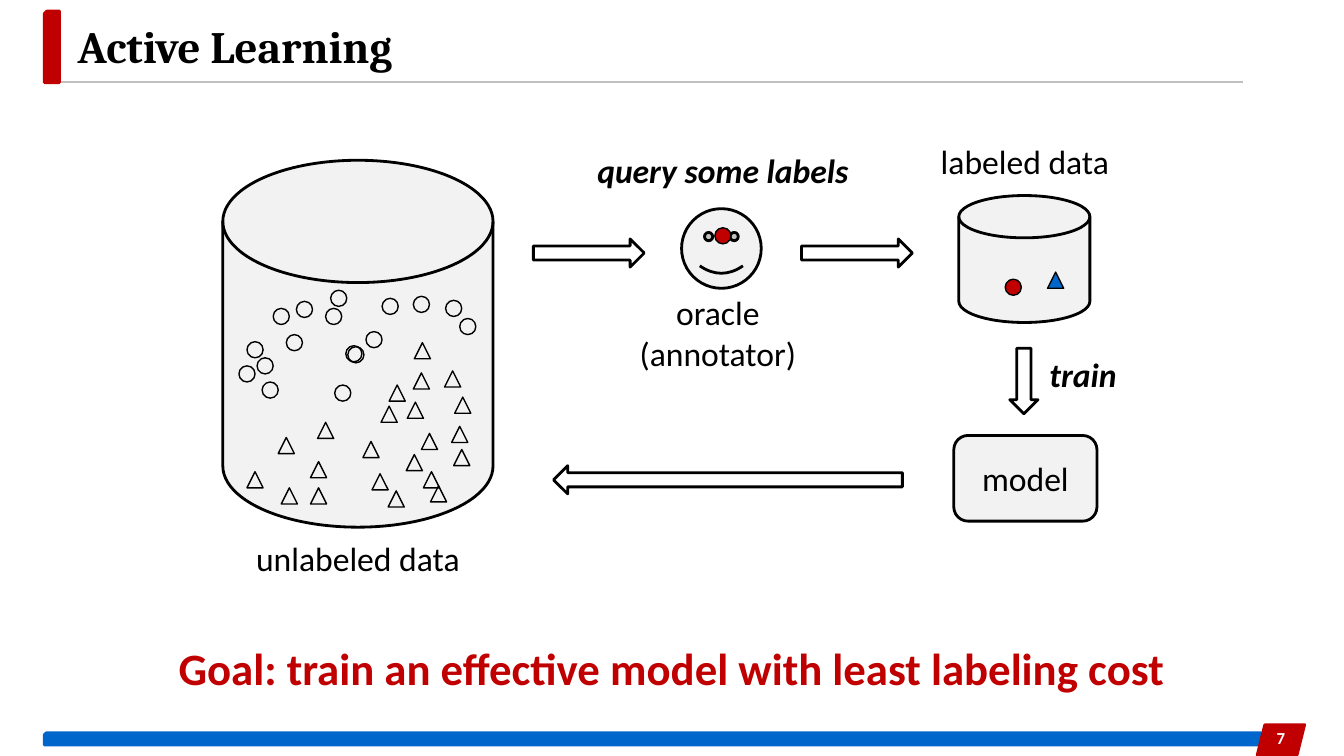
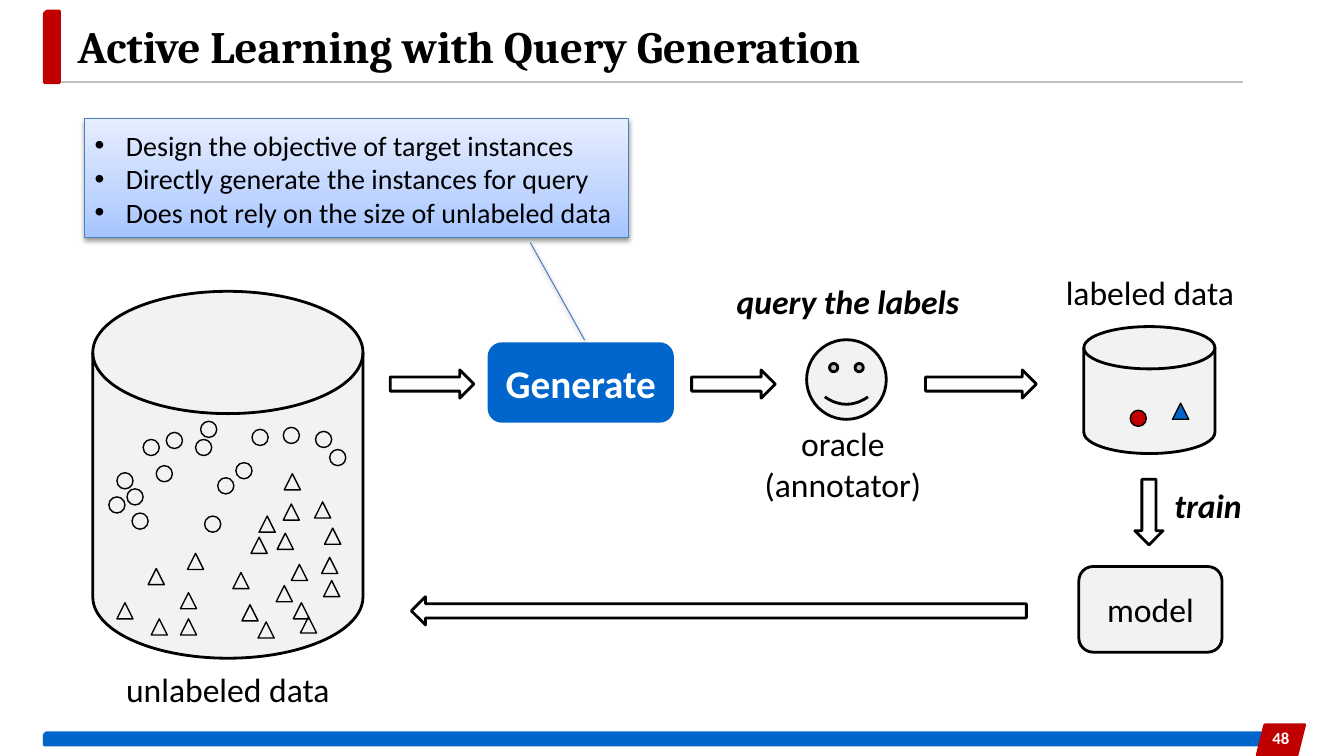
from copy import deepcopy
from dataclasses import dataclass

from lxml.etree import SubElement
from pptx import Presentation
from pptx.dml.color import RGBColor
from pptx.enum.shapes import MSO_CONNECTOR, MSO_SHAPE
from pptx.enum.text import MSO_ANCHOR, MSO_AUTO_SIZE, PP_ALIGN
from pptx.oxml.ns import qn
from pptx.util import Emu, Pt

PX = 9144  # 100 px to the inch


@dataclass(frozen=True)
class TextStyle:
    size: int
    color: str = "000000"
    bold: bool = False
    italic: bool = False
    name: str = "Calibri"


class Theme:
    black, white, gray, pale = "000000", "FFFFFF", "BFBFBF", "F2F2F2"
    red, blue, callout_line = "C00000", "0066CC", "4B7EBC"
    callout_stops = ((0, "A4C4FF"), (0.35, "BFD4FF"), (1, "E6EEFF"))
    thick, thin, hairline, rule = 2, 1, 0.75, 1.5
    title = TextStyle(32, bold=True, name="Cambria")
    goal = TextStyle(32, red, bold=True)
    label = TextStyle(24)
    emphasis = TextStyle(24, bold=True, italic=True)
    button = TextStyle(28, white, bold=True)
    note = TextStyle(20)
    page_number = TextStyle(12, white, bold=True)


MARKER = 16
UNLABELED_CIRCLES = (
    (50, 147), (73, 140), (107, 129), (24, 180), (189, 135), (111, 223),
    (102, 147), (63, 173), (124, 185), (158, 137), (221, 139), (235, 157),
    (142, 170), (34, 196), (39, 220), (16, 204),
)
UNLABELED_TRIANGLES = (
    (139, 279), (55, 275), (94, 260), (58, 325), (148, 311), (206, 323),
    (197, 271), (164, 328), (24, 309), (227, 264), (87, 325), (87, 299),
    (182, 292), (229, 287), (199, 309), (165, 223), (157, 244), (183, 240),
    (230, 235), (220, 209), (189, 211), (190, 181),
)


def emu(*lengths):
    return [Emu(length * PX) for length in lengths]


def set_values(target, values):
    for name, value in values.items():
        setattr(target, name, value)


def rgb(color):
    return RGBColor.from_string(color)


def write_text(shape, lines, style, alignment=PP_ALIGN.CENTER,
               anchor=MSO_ANCHOR.MIDDLE, bulleted=False):
    frame = shape.text_frame
    set_values(frame, {"word_wrap": True, "auto_size": MSO_AUTO_SIZE.NONE,
                       "vertical_anchor": anchor})
    for index, line in enumerate(lines):
        paragraph = frame.add_paragraph() if index else frame.paragraphs[0]
        paragraph.alignment = alignment
        if bulleted:
            add_bullet(paragraph)
        run = paragraph.add_run()
        run.text = line
        set_values(run.font, {"name": style.name, "size": Pt(style.size),
                              "bold": style.bold, "italic": style.italic})
        run.font.color.rgb = rgb(style.color)


def add_bullet(paragraph, indent=31):
    properties = paragraph._p.get_or_add_pPr()
    properties.set("marL", str(indent * PX))
    properties.set("indent", str(-indent * PX))
    SubElement(properties, qn("a:buFont")).set("typeface", "Arial")
    SubElement(properties, qn("a:buChar")).set("char", "•")


def add_text(slide, box, lines, style, **options):
    text_box = slide.shapes.add_textbox(*emu(*box))
    write_text(text_box, lines, style, **options)


def add_shape(slide, kind, box, fill=None, line=Theme.black, width=Theme.thick):
    shape = slide.shapes.add_shape(kind, *emu(*box))
    shape.shadow.inherit = False
    if fill:
        shape.fill.solid()
        shape.fill.fore_color.rgb = rgb(fill)
    else:
        shape.fill.background()
    shape.line.color.rgb = rgb(line)
    shape.line.width = Pt(width)
    return shape


def add_marker(slide, kind, left, top, fill=None):
    add_shape(slide, kind, (left, top, MARKER, MARKER), fill, width=Theme.thin)


def add_arrow(slide, box, rotation=0):
    arrow = add_shape(slide, MSO_SHAPE.RIGHT_ARROW, box, Theme.white)
    arrow.rotation = rotation


def prepare_layout(layout, slide):
    """Place the title on the layout and move the shared bands onto it."""
    for placeholder in list(layout.placeholders):
        if placeholder.placeholder_format.idx:
            placeholder.element.getparent().remove(placeholder.element)
        else:
            edges = zip(("left", "top", "width", "height"), emu(67, 23, 1200, 45))
            set_values(placeholder, dict(edges))

    rule = slide.shapes.add_connector(MSO_CONNECTOR.STRAIGHT, *emu(59, 81, 1233, 81))
    rule.line.color.rgb = rgb(Theme.gray)
    rule.line.width = Pt(Theme.rule)
    SubElement(rule.element.spPr, qn("a:effectLst"))
    bands = [rule]
    for kind, box, color in (
        (MSO_SHAPE.SNIP_1_RECTANGLE, (44, 11, 15, 71), Theme.red),
        (MSO_SHAPE.SNIP_1_RECTANGLE, (44, 727, 1207, 12), Theme.blue),
        (MSO_SHAPE.PARALLELOGRAM, (1247, 719, 47, 30), Theme.red),
    ):
        band = add_shape(slide, kind, box, color, color)
        if kind == MSO_SHAPE.SNIP_1_RECTANGLE:
            band.element.spPr.find(qn("a:xfrm")).set("flipH", "1")
        bands.append(band)
    for band in bands:
        layout.shapes.element.append(band.element)


def add_title_and_number(slide, title, number):
    write_text(slide.shapes.title, [title], Theme.title, PP_ALIGN.LEFT)
    add_text(slide, (1214, 717, 113, 40), [number], Theme.page_number,
             anchor=MSO_ANCHOR.TOP)


def add_unlabeled_data(slide, left, top):
    add_shape(slide, MSO_SHAPE.FLOWCHART_MAGNETIC_DISK, (left, top, 268, 364), Theme.pale)
    for kind, places in ((MSO_SHAPE.OVAL, UNLABELED_CIRCLES),
                         (MSO_SHAPE.ISOSCELES_TRIANGLE, UNLABELED_TRIANGLES)):
        for x, y in places:
            add_marker(slide, kind, left + x, top + y)
    add_text(slide, (left + 6, top + 370, 256, 50), ["unlabeled data"], Theme.label)


def add_training(slide, left, top):
    """Stack the labeled data, the train arrow and the model."""
    add_text(slide, (left - 36, top - 59, 203, 50), ["labeled data"], Theme.label)
    add_shape(slide, MSO_SHAPE.FLOWCHART_MAGNETIC_DISK, (left, top, 130, 126), Theme.pale)
    add_marker(slide, MSO_SHAPE.ISOSCELES_TRIANGLE, left + 88, top + 76, Theme.blue)
    add_marker(slide, MSO_SHAPE.OVAL, left + 46, top + 83, Theme.red)
    add_arrow(slide, (left + 32, top + 170, 65, 28), 90)
    add_text(slide, (left + 80, top + 152, 100, 50), ["train"], Theme.emphasis,
             alignment=PP_ALIGN.LEFT)
    model = add_shape(slide, MSO_SHAPE.FLOWCHART_ALTERNATE_PROCESS,
                      (left - 5, top + 238, 142, 85), Theme.pale)
    write_text(model, ["model"], Theme.label)


def add_oracle(slide, left, top, heading):
    add_text(slide, (left - 97, top - 63, 276, 50), [heading], Theme.emphasis)
    add_shape(slide, MSO_SHAPE.SMILEY_FACE, (left, top, 79, 79), Theme.pale)
    add_text(slide, (left - 60, top + 98, 192, 50), ["oracle", "(annotator)"], Theme.label)


def add_callout(slide, box, lines):
    callout = add_shape(slide, MSO_SHAPE.LINE_CALLOUT_1, box,
                        line=Theme.callout_line, width=Theme.hairline)
    for index, value in enumerate((1.04, 0.82, 1.86, 0.92)):
        callout.adjustments[index] = value
    callout.fill.gradient()
    callout.fill.gradient_angle = 90
    properties = callout.element.spPr
    stops = properties.find(".//" + qn("a:gsLst"))
    stops.append(deepcopy(stops[0]))
    for stop, (position, color) in zip(callout.fill.gradient_stops, Theme.callout_stops):
        stop.position = position
        stop.color.rgb = rgb(color)
    shadow = SubElement(properties.find(qn("a:effectLst")), qn("a:outerShdw"))
    for name, value in {"blurRad": Pt(3.1), "dist": Pt(1.6),
                        "dir": 90 * 60000, "rotWithShape": 0}.items():
        shadow.set(name, str(int(value)))
    shadow_color = SubElement(shadow, qn("a:srgbClr"))
    shadow_color.set("val", Theme.black)
    SubElement(shadow_color, qn("a:alpha")).set("val", "38000")
    write_text(callout, lines, Theme.note, PP_ALIGN.LEFT, bulleted=True)


def build_active_learning(slide):
    add_title_and_number(slide, "Active Learning", "7")
    add_unlabeled_data(slide, 221, 159)
    add_training(slide, 951, 194)
    add_oracle(slide, 676, 207, "query some labels")
    for left in (529, 795):
        add_arrow(slide, (left, 237, 110, 28))
    add_arrow(slide, (549, 462, 346, 28), 180)
    add_marker(slide, MSO_SHAPE.OVAL, 343, 343)
    add_marker(slide, MSO_SHAPE.OVAL, 709, 226, Theme.red)
    add_text(slide, (147, 637, 1039, 50),
             ["Goal: train an effective model with least labeling cost"], Theme.goal)


def build_query_generation(slide):
    add_title_and_number(slide, "Active Learning with Query Generation", "48")
    add_unlabeled_data(slide, 92, 289)
    add_training(slide, 1075, 324)
    add_oracle(slide, 800, 337, "query the labels")
    for left, width in ((387, 83), (686, 83), (918, 110)):
        add_arrow(slide, (left, 367, width, 28))
    add_arrow(slide, (408, 592, 610, 28), 180)
    generate = add_shape(slide, MSO_SHAPE.ROUNDED_RECTANGLE, (485, 341, 182, 77),
                         Theme.blue, Theme.blue)
    write_text(generate, ["Generate"], Theme.button)
    add_callout(slide, (84, 118, 539, 118), [
        "Design the objective of target instances",
        "Directly generate the instances for query",
        "Does not rely on the size of unlabeled data",
    ])


def main():
    presentation = Presentation()
    presentation.slide_width, presentation.slide_height = emu(1333, 750)
    layout = presentation.slide_layouts.get_by_name("Title Only")
    slides = [presentation.slides.add_slide(layout) for _ in range(2)]
    prepare_layout(layout, slides[0])
    for slide, build in zip(slides, (build_active_learning, build_query_generation)):
        build(slide)
    presentation.save("out.pptx")


if __name__ == "__main__":
    main()
